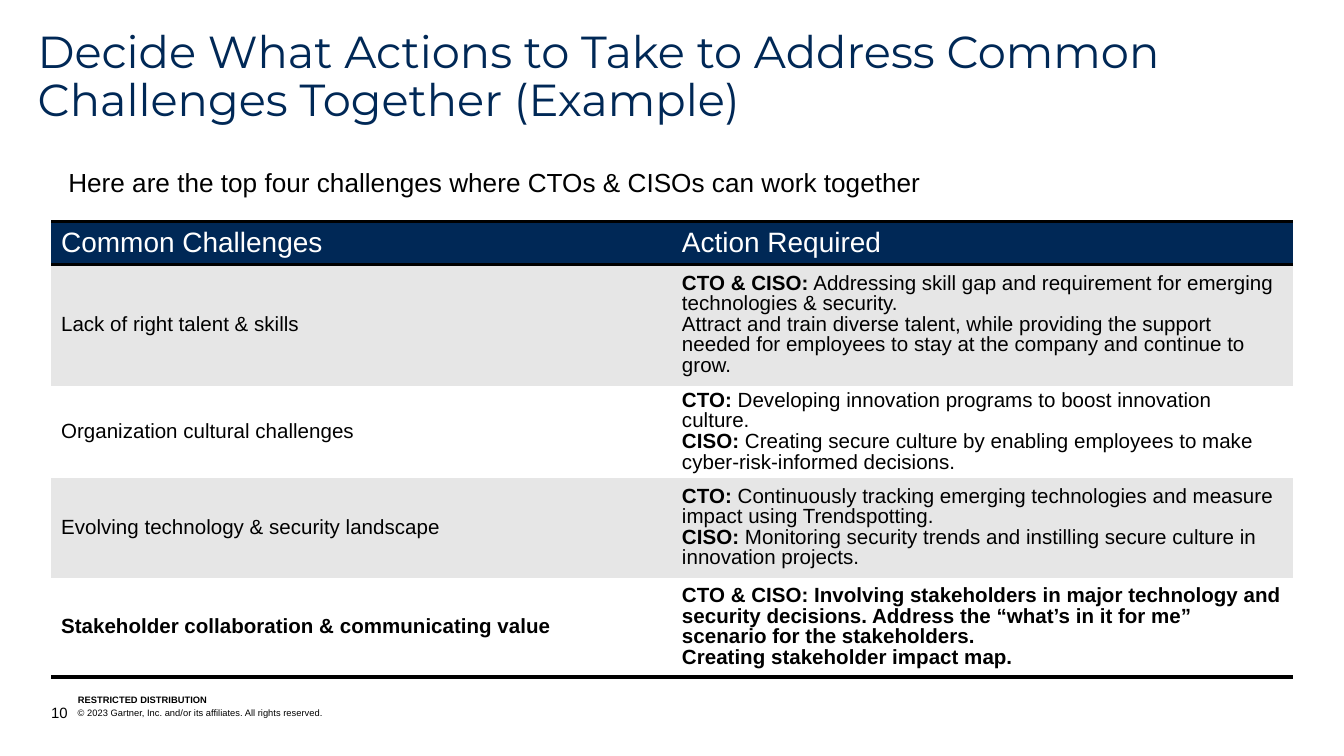
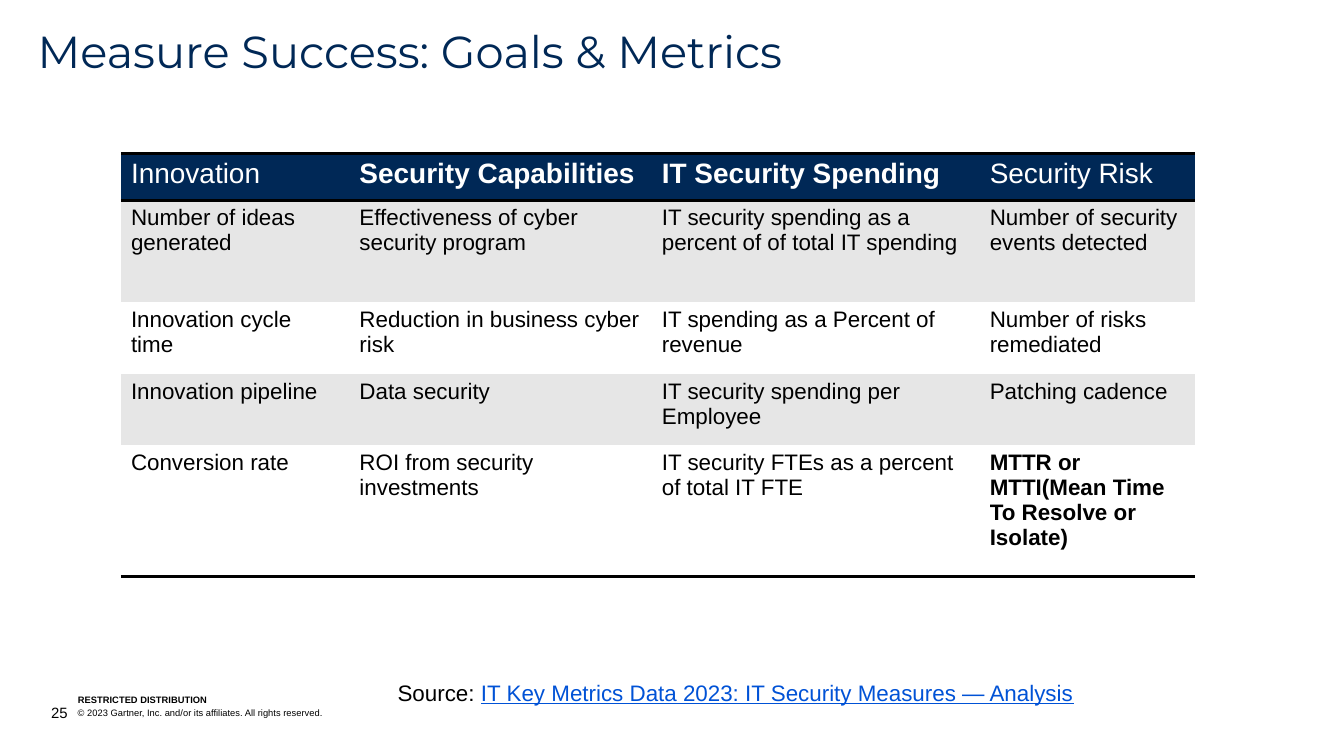
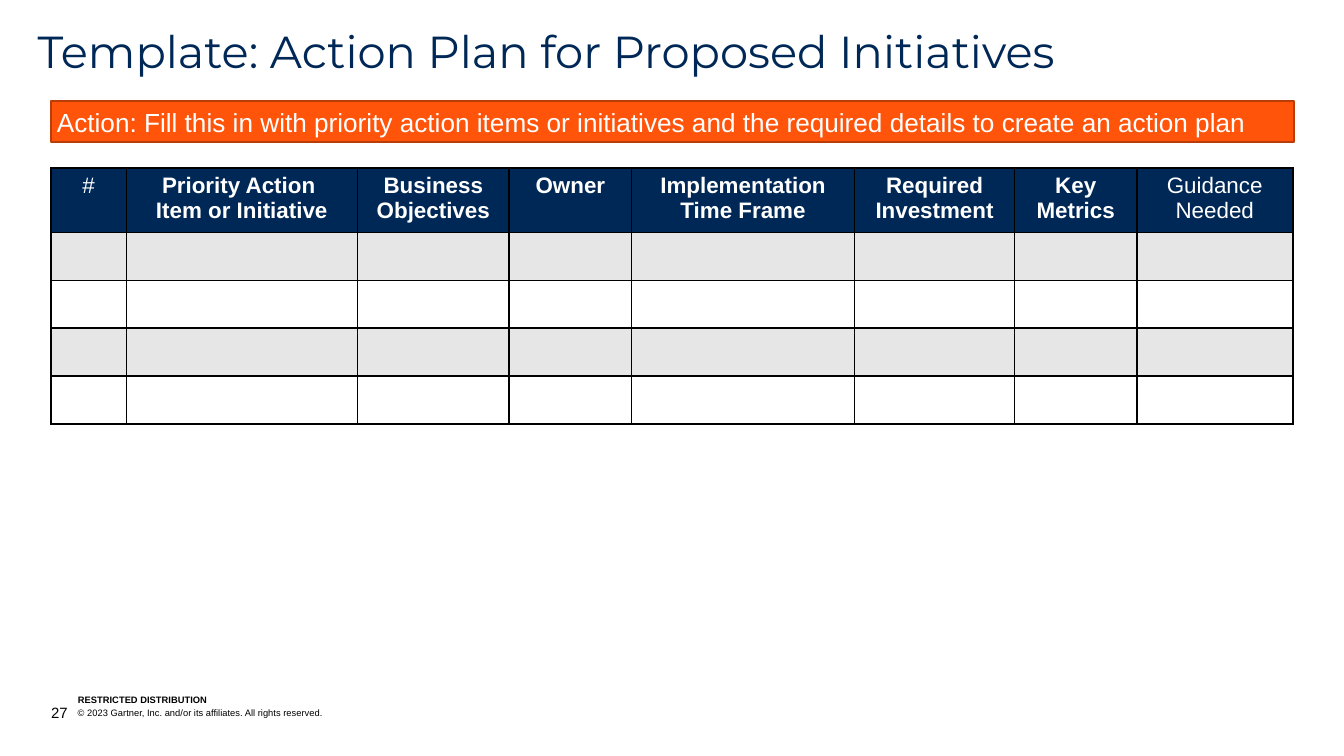
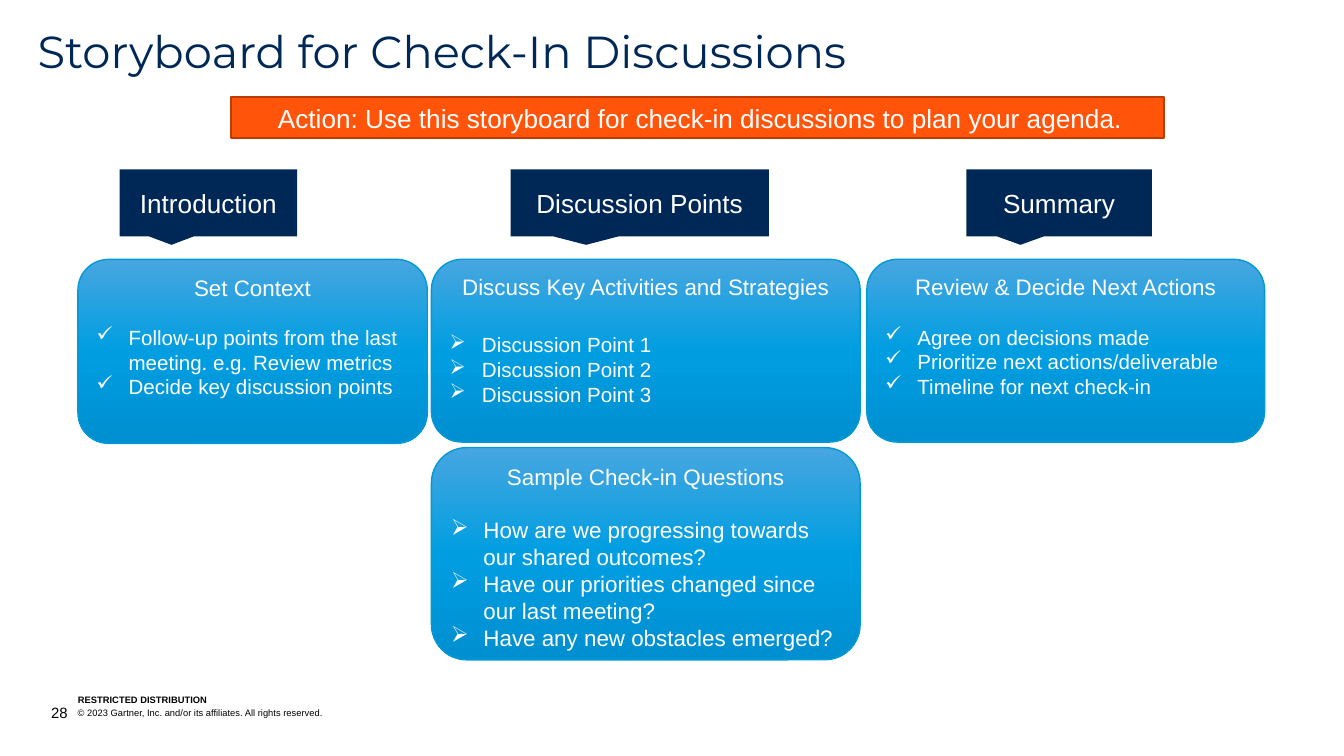
from dataclasses import dataclass

from lxml import etree
from pptx import Presentation
from pptx import util as u
from pptx.dml.color import RGBColor
from pptx.enum import shapes, text
from pptx.oxml import ns

LEFT, CENTER = text.PP_ALIGN.LEFT, text.PP_ALIGN.CENTER
TOP, MIDDLE, BOTTOM = (text.MSO_ANCHOR.TOP, text.MSO_ANCHOR.MIDDLE,
                       text.MSO_ANCHOR.BOTTOM)
COLUMNS, ROWS = 100, 56.25  # the page grid, in square cells
NO_TABLE_STYLE = "{2D5ABB26-0587-4C30-8999-92F81FD0307C}"


@dataclass(frozen=True)
class Theme:
    body_font: str = "Arial"
    title_font: str = "Montserrat"
    bullet_font: str = "Wingdings"
    check_bullet: str = "ü"  # a check mark in the bullet font
    arrow_bullet: str = "Ø"  # an arrowhead in the bullet font
    navy: str = "002856"
    black: str = "000000"
    white: str = "FFFFFF"
    stripe: str = "E6E6E6"
    orange: str = "FF540A"
    rust: str = "BA3D07"
    link: str = "0052D6"
    card_line: str = "009AD7"
    card_stops: tuple = ((0, "47A6E0"), (0.5, "009EE1"), (1, "008FD0"))
    title: int = 24
    table_head: int = 15
    lead: int = 14
    body: int = 12
    small: int = 11
    number: int = 8
    footer: int = 5


THEME = Theme()


def grid(cells):
    """Length of a number of grid cells."""
    return u.Inches(cells * 10 / COLUMNS)


def place(box):
    return [grid(cells) for cells in box]


def color_of(value):
    return RGBColor.from_string(value)


def add_span(para, words, size, color, bold=False, font=THEME.body_font, underline=None):
    span = para.add_run()
    span.text = words
    span.font.name, span.font.size = font, u.Pt(size)
    span.font.bold, span.font.underline = bold, underline
    span.font.color.rgb = color_of(color)


def write(para, words, align=LEFT, spacing=None, before=None, **style):
    """Fill a paragraph; what stands before a '|' is bold."""
    para.alignment, para.line_spacing = align, spacing
    if before is not None:
        para.space_before = u.Pt(before)
    strong, bar, plain = words.rpartition("|")
    for part, bold in ((strong, True), (plain, False)):
        if part:
            add_span(para, part, bold=bold, **style)


def fill_frame(frame, paragraphs, margins=(0, 0), anchor=TOP, **style):
    frame.word_wrap = True
    frame.auto_size = text.MSO_AUTO_SIZE.NONE
    frame.vertical_anchor = anchor
    frame.margin_left = frame.margin_right = grid(margins[0])
    frame.margin_top = frame.margin_bottom = grid(margins[1])
    for index, words in enumerate(paragraphs):
        para = frame.add_paragraph() if index else frame.paragraphs[0]
        write(para, words, **style)
    return frame


def add_text(page, box, words, **style):
    frame = page.shapes.add_textbox(*place(box)).text_frame
    return fill_frame(frame, [words], **style)


def add_block(page, kind, box, fill=None, line=None, width=1):
    block = page.shapes.add_shape(kind, *place(box))
    block.shadow.inherit = False
    if fill:
        block.fill.solid()
        block.fill.fore_color.rgb = color_of(fill)
    if line:
        block.line.color.rgb = color_of(line)
        block.line.width = u.Pt(width)
    else:
        block.line.fill.background()
    return block


def add_page(deck, title, number, width=69.4, height=2.8):
    page = deck.slides.add_slide(deck.slide_layouts[5])
    holder = page.shapes.title
    holder.left, holder.top, holder.width, holder.height = place((2.8, 2.2, width, height))
    fill_frame(holder.text_frame, [title], spacing=0.9, size=THEME.title,
               color=THEME.navy, font=THEME.title_font)
    add_footer(page, number)
    return page


def add_footer(page, number):
    fine = dict(size=THEME.footer, color=THEME.black)
    add_text(page, (5.8, 51.7, 19, 0.8), "RESTRICTED DISTRIBUTION|", anchor=BOTTOM, **fine)
    add_text(page, (3.8, 52.4, 59.9, 1.3), str(number), anchor=BOTTOM,
             size=THEME.number, color=THEME.black)
    add_text(page, (4.8, 52.1, 21.9, 1.9),
             "© 2023 Gartner, Inc. and/or its affiliates. All rights reserved.",
             margins=(1, 0.5), **fine)


def add_action_band(page, box, words, align=LEFT):
    band = add_block(page, shapes.MSO_SHAPE.RECTANGLE, box, THEME.orange, THEME.rust)
    fill_frame(band.text_frame, [words], margins=(0, 0.4), align=align,
               size=THEME.lead, color=THEME.white)


def set_borders(cell, sides, width):
    properties = cell._tc.get_or_add_tcPr()
    for side in sides:
        line = etree.SubElement(properties, ns.qn(f"a:ln{side}"), w=str(u.Pt(width)))
        solid = etree.SubElement(line, ns.qn("a:solidFill"))
        etree.SubElement(solid, ns.qn("a:srgbClr"), val=THEME.black)


def add_striped_table(page, corner, widths, heights, rows, head_size, body_size,
                      boxed=False, body_anchor=TOP, spacing=None, head_align=LEFT):
    """Table with a navy head row; a cell is a string, one paragraph per line."""
    box = (*corner, sum(widths), sum(heights))
    table = page.shapes.add_table(len(heights), len(widths), *place(box)).table
    table._tbl.tblPr.find(ns.qn("a:tableStyleId")).text = NO_TABLE_STYLE
    for column, width in zip(table.columns, widths):
        column.width = grid(width)
    for row, height in zip(table.rows, heights):
        row.height = grid(height)
    last = len(heights) - 1
    for r, row in enumerate(rows):
        for c, words in enumerate(row):
            cell = table.cell(r, c)
            head = r == 0
            if boxed:
                set_borders(cell, "LRTB", 1)
            else:
                set_borders(cell, {0: "TB", last: "B"}.get(r, ""), 2)
            cell.fill.solid()
            cell.fill.fore_color.rgb = color_of(
                THEME.navy if head else THEME.stripe if r % 2 else THEME.white)
            cell.margin_left = cell.margin_right = grid(0.75)
            cell.margin_top = cell.margin_bottom = grid(0.38)
            cell.vertical_anchor = TOP if head else body_anchor
            size = head_size if head else body_size
            for index, line in enumerate(words.split("\n")):
                frame = cell.text_frame
                para = frame.add_paragraph() if index else frame.paragraphs[0]
                write(para, line, size=size,
                      color=THEME.white if head else THEME.black,
                      align=head_align if head else LEFT,
                      spacing=None if head else spacing)
                if not line:
                    para._p.get_or_add_endParaRPr().set("sz", str(size * 100))


def add_bullet(para, mark):
    properties = para._p.get_or_add_pPr()
    properties.set("marL", str(grid(2.4)))
    properties.set("indent", str(-grid(2.4)))
    color = etree.SubElement(properties, ns.qn("a:buClr"))
    etree.SubElement(color, ns.qn("a:srgbClr"), val=THEME.white)
    etree.SubElement(properties, ns.qn("a:buFont"), typeface=THEME.bullet_font,
                     pitchFamily="2", charset="2")
    etree.SubElement(properties, ns.qn("a:buChar"), char=mark)


def add_card(page, box, heading, mark, points, size=THEME.small, gap=13):
    card = add_block(page, shapes.MSO_SHAPE.ROUNDED_RECTANGLE, box,
                     line=THEME.card_line, width=0.75)
    card.adjustments[0] = 0.167
    card.fill.gradient()
    card.fill.gradient_angle = 270
    stop_list = card._element.spPr.find(".//" + ns.qn("a:gsLst"))
    for stop in list(stop_list):
        stop_list.remove(stop)
    for share, color in THEME.card_stops:
        stop = etree.SubElement(stop_list, ns.qn("a:gs"), pos=str(int(share * 100000)))
        etree.SubElement(stop, ns.qn("a:srgbClr"), val=color)
    frame = fill_frame(card.text_frame, [heading], margins=(0.7, 0.4), align=CENTER,
                       size=THEME.body, color=THEME.white)
    for index, point in enumerate(points):
        para = frame.add_paragraph()
        add_bullet(para, mark)
        write(para, point, before=0 if index else gap, size=size, color=THEME.white)


def add_stage_label(page, box, words):
    label = add_block(page, shapes.MSO_SHAPE.ROUNDED_RECTANGULAR_CALLOUT, box, THEME.navy)
    for index, value in enumerate((-0.208, 0.625, 0)):
        label.adjustments[index] = value
    fill_frame(label.text_frame, [words], margins=(0.7, 0.4), anchor=MIDDLE, align=CENTER,
               size=THEME.lead, color=THEME.white)


def challenges_page(deck):
    page = add_page(
        deck, "Decide What Actions to Take to Address Common Challenges Together (Example)",
        10, width=93.5, height=2.6)
    rows = [
        ("Common Challenges", "Action Required"),
        ("Lack of right talent & skills",
         "CTO & CISO:| Addressing skill gap and requirement for emerging technologies & "
         "security.\nAttract and train diverse talent, while providing the support needed "
         "for employees to stay at the company and continue to grow."),
        ("Organization cultural challenges",
         "CTO:| Developing innovation programs to boost innovation culture.\n"
         "CISO:| Creating secure culture by enabling employees to make "
         "cyber-risk-informed decisions."),
        ("Evolving technology & security landscape",
         "CTO:| Continuously tracking emerging technologies and measure impact using "
         "Trendspotting.\nCISO:| Monitoring security trends and instilling secure culture "
         "in innovation projects."),
        ("Stakeholder collaboration & communicating value|",
         "CTO & CISO: Involving stakeholders in major technology and security decisions. "
         "Address the “what’s in it for me” scenario for the stakeholders.|\n"
         "Creating stakeholder impact map.|"),
    ]
    add_striped_table(page, (3.8, 16.5), [46.2] * 2, [3.2, 9, 5.7, 7.4, 7.4], rows,
                      THEME.table_head, THEME.small, body_anchor=MIDDLE, spacing=0.9)
    add_text(page, (4.1, 11.4, 71.6, 3.8),
             "Here are the top four challenges where CTOs & CISOs can work together",
             margins=(1, 1), size=THEME.lead, color=THEME.black)


def metrics_page(deck):
    page = add_page(deck, "Measure Success: Goals & Metrics", 25)
    rows = [
        ("Innovation", "Security Capabilities|", "IT Security Spending|", "Security Risk"),
        ("Number of ideas generated", "Effectiveness of cyber security program",
         "IT security spending as a percent of of total IT spending",
         "Number of security events detected"),
        ("Innovation cycle time", "Reduction in business cyber risk",
         "IT spending as a Percent of revenue", "Number of risks remediated"),
        ("Innovation pipeline", "Data security", "IT security spending per Employee",
         "Patching cadence"),
        ("Conversion rate", "ROI from security investments",
         "IT security FTEs as a percent of total IT FTE",
         "MTTR or MTTI(Mean Time To Resolve or Isolate)|"),
    ]
    add_striped_table(page, (9, 11.4), [17, 22.5, 24.4, 16], [3.5, 7.6, 5.3, 5.3, 9.8],
                      rows, THEME.table_head, THEME.body)
    source = add_text(page, (28.6, 49.5, 56, 4.4), "Source: ", margins=(1, 1),
                      size=THEME.body, color=THEME.black)
    add_span(source.paragraphs[0],
             "IT Key Metrics Data 2023: IT Security Measures — Analysis",
             THEME.body, THEME.link, underline=True)


def action_plan_page(deck):
    page = add_page(deck, "Template: Action Plan for Proposed Initiatives", 27,
                    width=85.2, height=3.3)
    heads = ("#", "Priority Action |\nItem or Initiative|", "Business Objectives|",
             "Owner|", "Implementation Time Frame|", "Required Investment|",
             "Key Metrics|", "Guidance Needed")
    blank_rows = [[""] * len(heads)] * 4
    add_striped_table(page, (3.8, 12.5), [5.6, 17.2, 11.3, 9.1, 16.6, 11.9, 9.1, 11.6],
                      [4.8] + [3.56] * 4, [heads, *blank_rows], THEME.body, THEME.body,
                      boxed=True, head_align=CENTER)
    add_action_band(page, (3.8, 7.5, 92.5, 3.1),
                    " Action: Fill this in with priority action items or initiatives "
                    "and the required details to create an action plan")


def storyboard_page(deck):
    page = add_page(deck, "Storyboard for Check-In Discussions", 28)
    check, arrow = THEME.check_bullet, THEME.arrow_bullet
    card_top, middle_left, middle_width = 19.3, 32.1, 31.9
    add_card(page, (5.8, card_top, 26, 13.7), "Set Context", check,
             ["Follow-up points from the last meeting. e.g. Review metrics",
              "Decide key discussion points"])
    add_card(page, (middle_left, card_top, middle_width, 13.6),
             "Discuss Key Activities and Strategies", arrow,
             [f"Discussion Point {number}" for number in (1, 2, 3)], gap=17)
    add_card(page, (64.5, card_top, 29.6, 13.6), "Review & Decide Next Actions", check,
             ["Agree on decisions made", "Prioritize next actions/deliverable",
              "Timeline for next check-in"])
    for left, width, words in ((8.9, 13.2, "Introduction"),
                               (38, 19.2, "Discussion Points"),
                               (71.9, 13.8, "Summary")):
        add_stage_label(page, (left, 12.6, width, 5), words)
    add_card(page, (middle_left, 33.3, middle_width, 15.8), "Sample Check-in Questions",
             arrow, ["How are we progressing towards our shared outcomes?",
                     "Have our priorities changed since our last meeting?",
                     "Have any new obstacles emerged?"], size=THEME.body, gap=14)
    add_action_band(page, (17.2, 7.2, 69.4, 3.1),
                    " Action: Use this storyboard for check-in discussions to plan "
                    "your agenda.", align=CENTER)


def main():
    deck = Presentation()
    deck.slide_width, deck.slide_height = grid(COLUMNS), grid(ROWS)
    for build in (challenges_page, metrics_page, action_plan_page, storyboard_page):
        build(deck)
    deck.save("out.pptx")


if __name__ == "__main__":
    main()
